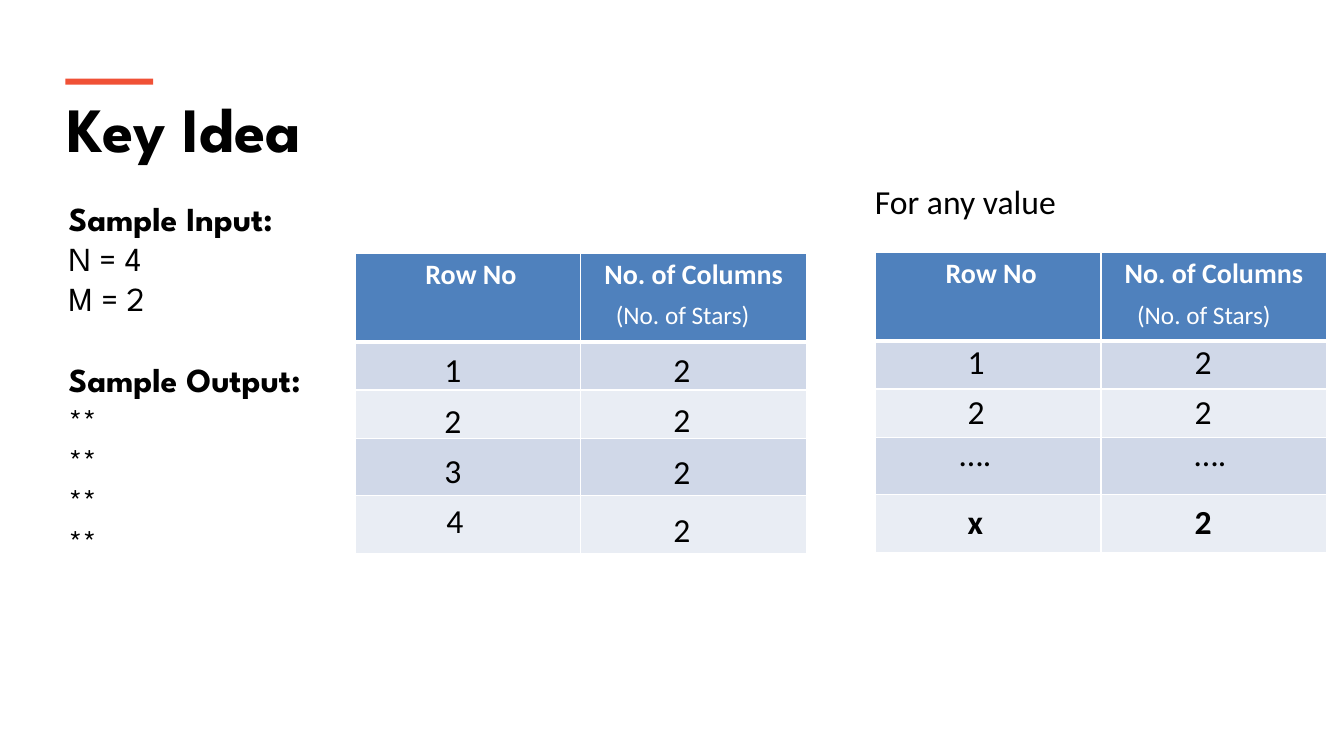
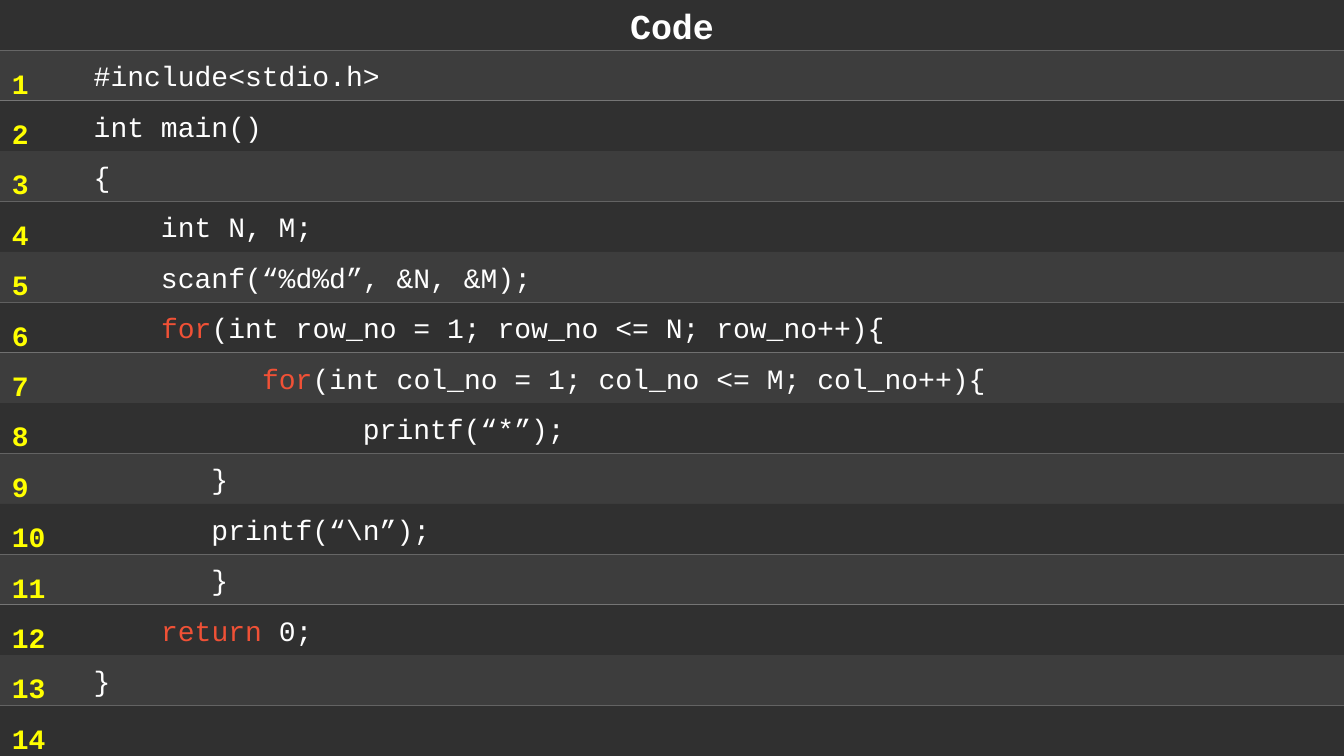
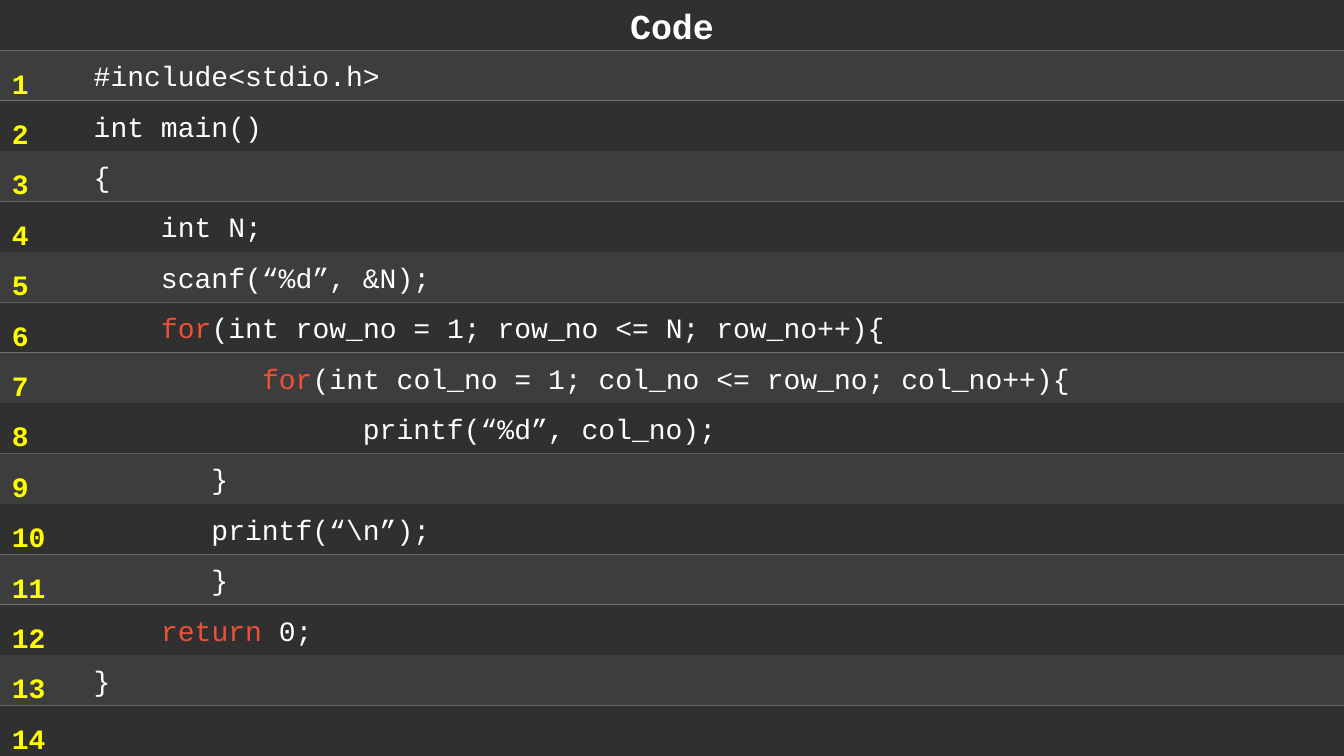
from lxml.etree import SubElement
from pptx import Presentation
from pptx.dml.color import RGBColor
from pptx.enum.shapes import MSO_SHAPE
from pptx.enum.text import MSO_ANCHOR, MSO_AUTO_SIZE, PP_ALIGN
from pptx.oxml.ns import qn
from pptx.util import Emu, Pt

# ---- Content ----
IDEA_TITLE = "Key Idea"
CODE_TITLE = "Code"
ANY_VALUE = "For any value"
# (text, bold, space before in points)
SAMPLE = [
    ("Sample Input:", True, 0),
    ("N = 4", False, 0),
    ("M = 2", False, 0),
    ("Sample Output:", True, 29),
] + [("**", False, 0)] * 4

HEADINGS = (" Row No", "No. of Columns")
HEADING_NOTE = "(No. of Stars)"
# Each value is (text, left, top) over the grid
COUNTS = [
    {
        "left": 352, "top": 251, "note_left": 601, "bold_texts": (),
        "values": [
            ("1", 431, 341), ("2", 658, 341),
            ("2", 431, 392), ("2", 658, 391),
            ("3", 431, 441), ("2", 658, 442),
            ("4", 433, 491), ("2", 658, 500),
        ],
    },
    {
        "left": 868, "top": 250, "note_left": 1118, "bold_texts": (6, 7),
        "values": [
            ("1", 950, 333), ("2", 1175, 333),
            ("2", 950, 383), ("2", 1175, 383),
            ("….", 942, 425), ("….", 1175, 425),
            ("x", 950, 492), ("2", 1175, 492),
        ],
    },
]

PROGRAMS = [
    {"declare": "N, M", "read": "“%d%d”, &N, &M", "limit": "M", "output": "“*”"},
    {"declare": "N", "read": "“%d”, &N", "limit": "row_no", "output": "“%d”, col_no"},
]
KEYWORDS = ("for", "return")


def code_lines(declare, read, limit, output):
    return [
        "#include<stdio.h>",
        "int main()",
        "{",
        f"    int {declare};",
        f"    scanf({read});",
        "    for(int row_no = 1; row_no <= N; row_no++){",
        f"          for(int col_no = 1; col_no <= {limit}; col_no++){{",
        f"                printf({output});",
        "       }",
        "       printf(“\\n”);",
        "       }",
        "    return 0;",
        "}",
        "",
    ]


# ---- Look ----
WHITE = RGBColor(0xFF, 0xFF, 0xFF)
BLACK = RGBColor(0x00, 0x00, 0x00)
ACCENT = RGBColor(0xF0, 0x51, 0x36)
YELLOW = RGBColor(0xFF, 0xFF, 0x00)
BAND_DARK = RGBColor(0x30, 0x30, 0x30)
BAND_LIGHT = RGBColor(0x3D, 0x3D, 0x3D)
HEAD_BLUE = RGBColor(0x4F, 0x81, 0xBD)
ROW_FILLS = (RGBColor(0xD0, 0xD8, 0xE8), RGBColor(0xE9, 0xED, 0xF4))

DISPLAY, PLAIN, MONO = "League Spartan", "Calibri", "Courier New"

SLIDE_W, SLIDE_H = 1333, 750
BAND_H = 50
CODE_INDENT = 93
COLUMN_W = 224
ROW_HEIGHTS = (88, 48, 48, 57, 57)
VALUE_W, DOTS_W, VALUE_H = 36, 92, 50
NOTE_TOP, NOTE_W, NOTE_H = 292, 166, 40
TITLE_ONLY, TITLE_AND_BODY = 5, 1


def px(length):
    """Convert px, 100 to the inch, to EMU."""
    return Emu(length * 9144)


def box(left, top, width, height):
    return px(left), px(top), px(width), px(height)


def place(shape, left, top, width, height):
    shape.left, shape.top, shape.width, shape.height = box(left, top, width, height)


def write(paragraph, text, font=PLAIN, size=24, color=BLACK, bold=False,
          align=PP_ALIGN.LEFT, before=0, spacing=1.0):
    """Append one formatted run and set the layout of its paragraph."""
    paragraph.alignment = align
    paragraph.space_before = Pt(before)
    paragraph.line_spacing = spacing
    run = paragraph.add_run()
    run.text = text
    run.font.name, run.font.size, run.font.bold = font, Pt(size), bold
    run.font.color.rgb = color


def paragraph_at(frame, index):
    return frame.add_paragraph() if index else frame.paragraphs[0]


def fit(frame, anchor=MSO_ANCHOR.TOP):
    frame.word_wrap = True
    frame.auto_size = MSO_AUTO_SIZE.NONE
    frame.vertical_anchor = anchor
    return frame


def paint(shape, color):
    shape.fill.solid()
    shape.fill.fore_color.rgb = color


def add_rect(slide, left, top, width, height, color):
    rect = slide.shapes.add_shape(MSO_SHAPE.RECTANGLE, *box(left, top, width, height))
    rect.shadow.inherit = False
    rect.line.fill.background()
    paint(rect, color)
    return rect


def add_label(slide, left, top, width, height):
    return fit(slide.shapes.add_textbox(*box(left, top, width, height)).text_frame)


def add_title(slide, text, position, anchor, **style):
    title = slide.shapes.title
    place(title, *position)
    write(fit(title.text_frame, anchor).paragraphs[0], text, bold=True, **style)
    return title


def remove_bullet(paragraph):
    properties = paragraph._p.get_or_add_pPr()
    properties.set("marL", "0")
    properties.set("indent", "0")
    SubElement(properties, qn("a:buNone"))


def add_borders(cell, bottom):
    properties = cell._tc.get_or_add_tcPr()
    for side, width in (("L", 1), ("R", 1), ("T", 1), ("B", bottom)):
        line = SubElement(properties, qn(f"a:ln{side}"), w=str(Pt(width)))
        fill = SubElement(line, qn("a:solidFill"))
        SubElement(fill, qn("a:srgbClr"), val=str(WHITE))


def add_grid(slide, left, top):
    table = slide.shapes.add_table(
        len(ROW_HEIGHTS), len(HEADINGS),
        *box(left, top, COLUMN_W * len(HEADINGS), sum(ROW_HEIGHTS))).table
    for column in table.columns:
        column.width = px(COLUMN_W)
    for index, (row, height) in enumerate(zip(table.rows, ROW_HEIGHTS)):
        row.height = px(height)
        for cell in row.cells:
            add_borders(cell, bottom=1 if index else 3)
            paint(cell, ROW_FILLS[(index - 1) % 2] if index else HEAD_BLUE)
    for cell, heading in zip(table.rows[0].cells, HEADINGS):
        write(cell.text_frame.paragraphs[0], heading, size=20, color=WHITE,
              bold=True, align=PP_ALIGN.CENTER)


def add_counts(slide, left, top, note_left, bold_texts, values):
    add_grid(slide, left, top)
    note = add_label(slide, note_left, NOTE_TOP, NOTE_W, NOTE_H)
    write(note.paragraphs[0], HEADING_NOTE, size=18, color=WHITE)
    for index, (text, value_left, value_top) in enumerate(values):
        width = DOTS_W if len(text) > 1 else VALUE_W
        value = add_label(slide, value_left, value_top, width, VALUE_H)
        write(value.paragraphs[0], text, bold=index in bold_texts)


def add_idea_slide(deck):
    slide = deck.slides.add_slide(deck.slide_layouts[TITLE_AND_BODY])
    add_title(slide, IDEA_TITLE, (57, 84, 1218, 86), MSO_ANCHOR.TOP,
              font=DISPLAY, size=45)
    add_rect(slide, 65, 78, 87, 6, ACCENT)
    sample = slide.placeholders[1]
    place(sample, 58, 191, 290, 414)
    frame = fit(sample.text_frame)
    for index, (text, bold, before) in enumerate(SAMPLE):
        paragraph = paragraph_at(frame, index)
        remove_bullet(paragraph)
        write(paragraph, text, font=DISPLAY, bold=bold, before=before)
    for counts in COUNTS:
        add_counts(slide, **counts)
    write(add_label(slide, 858, 175, 300, 50).paragraphs[0], ANY_VALUE)


def write_code(paragraph, line):
    """Write a line of code with its leading keyword in the accent colour."""
    code = line.lstrip()
    indent = line[:len(line) - len(code)]
    keyword = next((word for word in KEYWORDS if code.startswith(word)), "")
    parts = ((indent, WHITE), (keyword, ACCENT), (code[len(keyword):], WHITE))
    for text, color in parts:
        if text:
            write(paragraph, text, font=MONO, size=20, color=color)


def add_code_slide(deck, program):
    slide = deck.slides.add_slide(deck.slide_layouts[TITLE_ONLY])
    title = add_title(slide, CODE_TITLE, (0, 0, SLIDE_W, BAND_H), MSO_ANCHOR.MIDDLE,
                      font=MONO, size=25, color=WHITE, align=PP_ALIGN.CENTER)
    paint(title, BAND_DARK)
    lines = code_lines(**program)
    for number, line in enumerate(lines, 1):
        band = add_rect(slide, 0, number * BAND_H, SLIDE_W, BAND_H,
                        BAND_LIGHT if number % 2 else BAND_DARK)
        frame = fit(band.text_frame, MSO_ANCHOR.MIDDLE)
        frame.margin_left = px(CODE_INDENT)
        write_code(frame.paragraphs[0], line)
    numbers = add_label(slide, 2, 44, 56, 706)
    for index in range(len(lines)):
        write(paragraph_at(numbers, index), str(index + 1), font=MONO, size=20,
              color=YELLOW, bold=True, spacing=Pt(36))


def main():
    deck = Presentation()
    deck.slide_width, deck.slide_height = px(SLIDE_W), px(SLIDE_H)
    add_idea_slide(deck)
    for program in PROGRAMS:
        add_code_slide(deck, program)
    deck.save("out.pptx")


if __name__ == "__main__":
    main()
